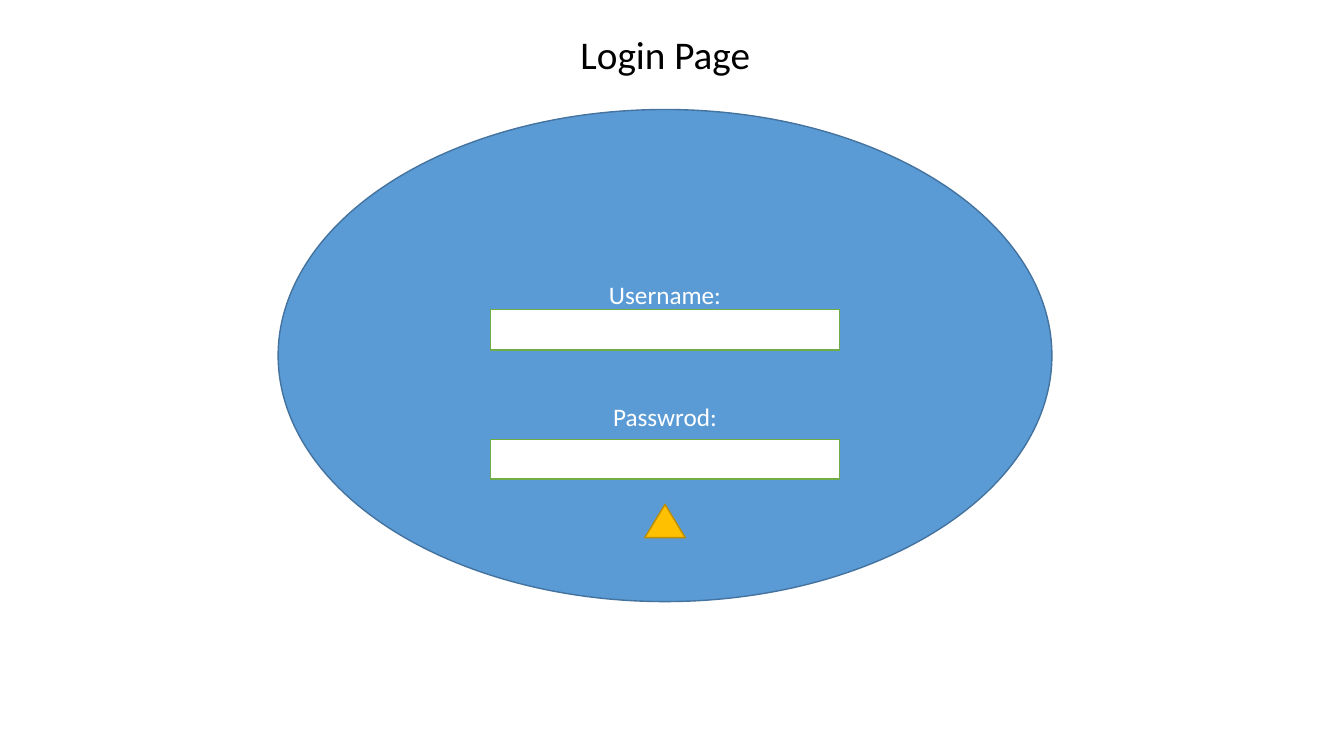
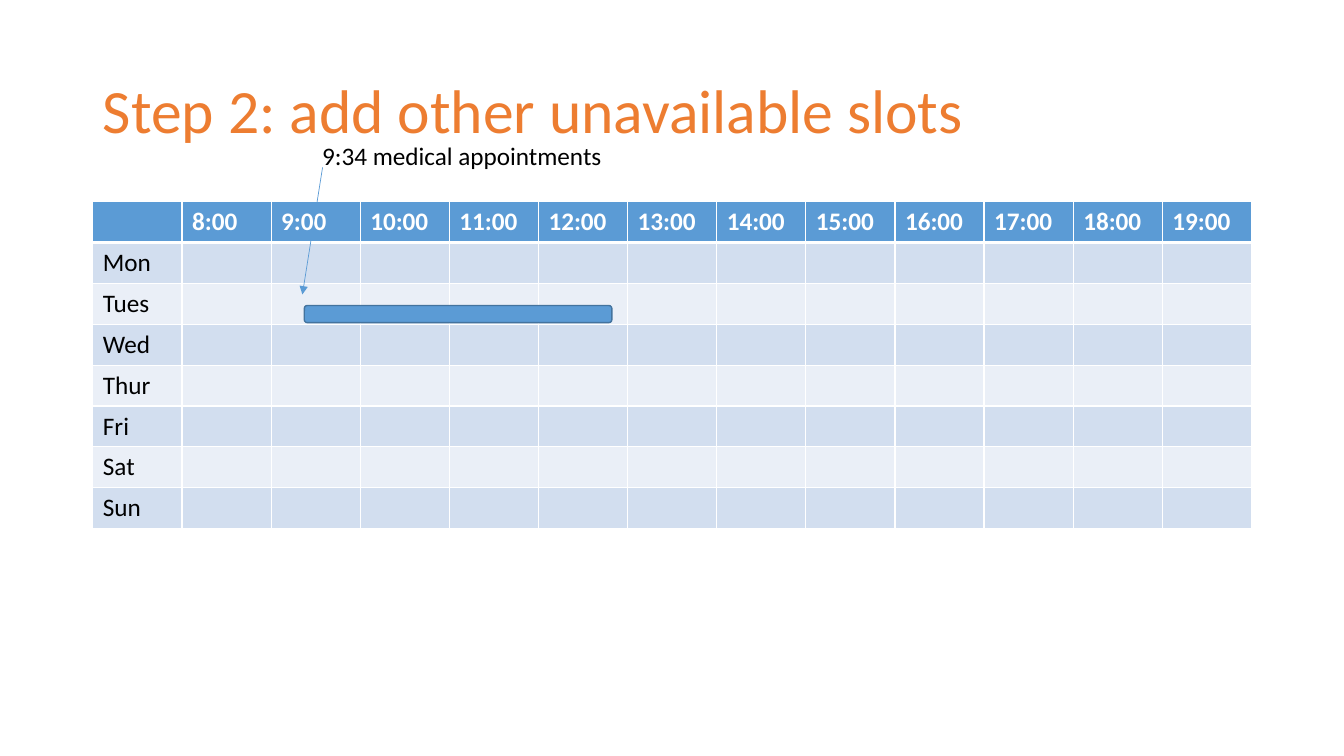
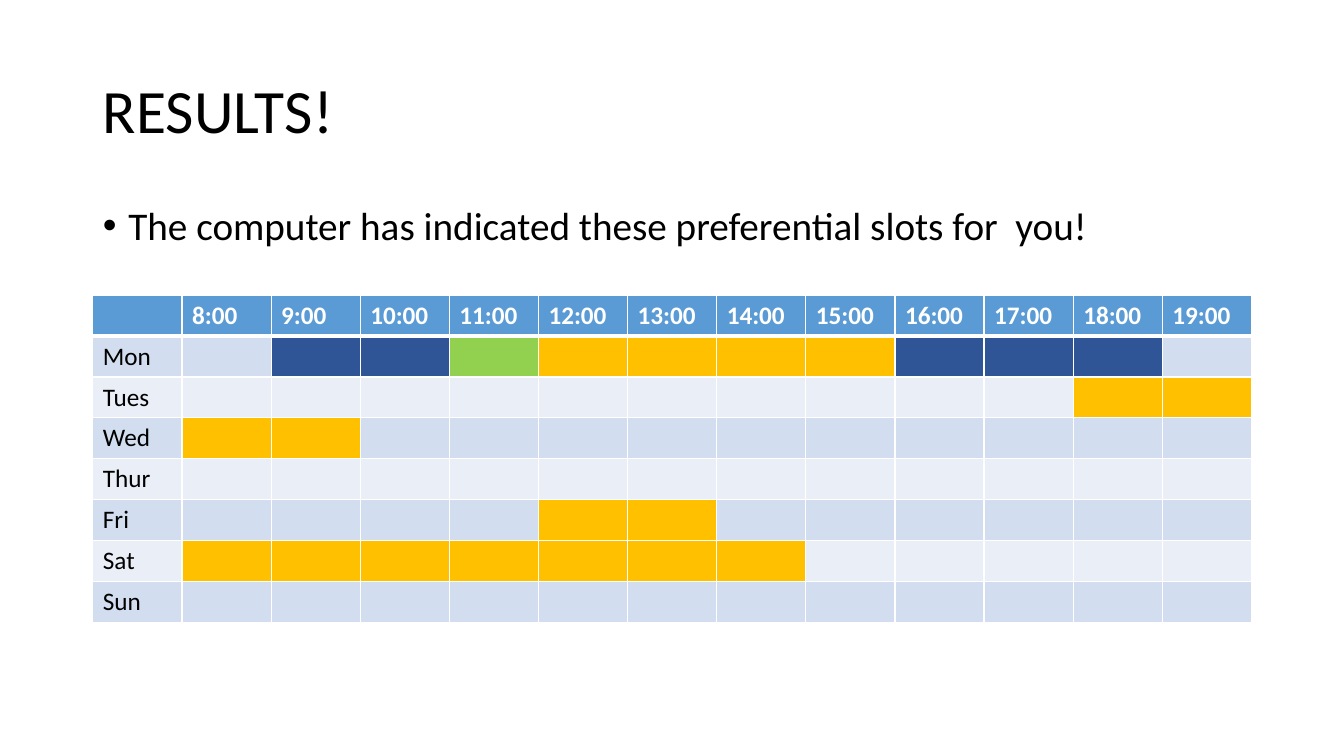
from pptx import Presentation
from pptx.dml.color import RGBColor
from pptx.enum.shapes import MSO_CONNECTOR, MSO_SHAPE
from pptx.enum.text import MSO_ANCHOR, MSO_AUTO_SIZE, PP_ALIGN
from pptx.oxml.ns import qn
from pptx.util import Cm, Pt
from lxml import etree

LEFT, CENTER = PP_ALIGN.LEFT, PP_ALIGN.CENTER
TOP, MIDDLE = MSO_ANCHOR.TOP, MSO_ANCHOR.MIDDLE
NO_FIT = MSO_AUTO_SIZE.NONE
ELLIPSE, RECTANGLE = MSO_SHAPE.OVAL, MSO_SHAPE.RECTANGLE
TRIANGLE, ROUNDED = MSO_SHAPE.ISOSCELES_TRIANGLE, MSO_SHAPE.ROUNDED_RECTANGLE
STRAIGHT = MSO_CONNECTOR.STRAIGHT
CONTENT_LAYOUT, TITLE_LAYOUT = 1, 5

FONT = "Calibri"
BLACK, WHITE, ORANGE = "000000", "FFFFFF", "ED7D31"
BLUE, BLUE_EDGE, NAVY = "5B9BD5", "43739E", "2F5597"
GREEN, GREEN_EDGE = "92D050", "70AD47"
GOLD, GOLD_EDGE = "FFC000", "BD8E00"
BANDS = ("D2DEEF", "EAEFF7")

# Boxes are (left, top, width, height) in centimetres
TITLE_BOX = (2.34, 1.02, 29.21, 3.68)
BODY_BOX = (2.34, 5.08, 29.21, 12.09)

DAYS = ("Mon", "Tues", "Wed", "Thur", "Fri", "Sat", "Sun")
HOURS = range(8, 20)
ROW_HEIGHT = 1.03

# Day: (first hour, last hour, colour)
RESULT_SLOTS = {
    "Mon": [(9, 10, NAVY), (11, 11, GREEN), (12, 15, GOLD), (16, 18, NAVY)],
    "Tues": [(18, 19, GOLD)],
    "Wed": [(8, 9, GOLD)],
    "Fri": [(12, 13, GOLD)],
    "Sat": [(8, 14, GOLD)],
}


def color(value):
    return RGBColor.from_string(value)


def lengths(box):
    return [Cm(value) for value in box]


def set_attributes(target, values):
    for name, value in values.items():
        setattr(target, name, value)


def write(paragraph, text, size, text_color, bold=False, **paragraph_format):
    run = paragraph.add_run()
    run.text = text
    set_attributes(run.font, {"name": FONT, "size": Pt(size), "bold": bold})
    run.font.color.rgb = color(text_color)
    set_attributes(paragraph, paragraph_format)


def place(placeholder, box, **frame_format):
    names = ("left", "top", "width", "height")
    set_attributes(placeholder, dict(zip(names, lengths(box))))
    frame = placeholder.text_frame
    set_attributes(frame, {"auto_size": NO_FIT, **frame_format})
    return frame.paragraphs[0]


def add_title(slide, text, text_color=BLACK):
    paragraph = place(slide.shapes.title, TITLE_BOX, vertical_anchor=MIDDLE)
    write(paragraph, text, 44, text_color, alignment=LEFT, line_spacing=0.9)


def add_figure(slide, kind, box, fill, edge):
    shape = slide.shapes.add_shape(kind, *lengths(box))
    shape.shadow.inherit = False
    shape.fill.solid()
    shape.fill.fore_color.rgb = color(fill)
    shape.line.color.rgb = color(edge)
    shape.line.width = Pt(1)
    return shape


def add_arrow(slide, start, end):
    arrow = slide.shapes.add_connector(STRAIGHT, *lengths(start + end))
    arrow.line.color.rgb = color(BLUE)
    arrow.line.width = Pt(0.5)
    properties = arrow.element.spPr
    line = properties.find(qn("a:ln"))
    etree.SubElement(line, qn("a:tailEnd"), type="triangle")
    etree.SubElement(properties, qn("a:effectLst"))


def style_cell(cell, fill, bottom_width):
    # Borders come before the fill in the cell properties
    properties = cell._tc.get_or_add_tcPr()
    for side, width in (("L", 1), ("R", 1), ("T", 1), ("B", bottom_width)):
        border = etree.SubElement(properties, qn(f"a:ln{side}"), w=str(Pt(width)))
        border_fill = etree.SubElement(border, qn("a:solidFill"))
        etree.SubElement(border_fill, qn("a:srgbClr"), val=WHITE)
    cell.fill.solid()
    cell.fill.fore_color.rgb = color(fill)


def add_timetable(slide, left, top, width, slots):
    labels = [""] + [f"{hour}:00" for hour in HOURS]
    row_count = len(DAYS) + 1
    box = (left, top, width, ROW_HEIGHT * row_count)
    table = slide.shapes.add_table(row_count, len(labels), *lengths(box)).table
    for column in table.columns:
        column.width = Cm(width / len(labels))

    # Header row
    for cell, label in zip(table.rows[0].cells, labels):
        style_cell(cell, BLUE, 3)
        if label:
            write(cell.text_frame.paragraphs[0], label, 18, WHITE, bold=True)

    # Day rows, banded, with marked hours
    for index, day in enumerate(DAYS):
        marks = {hour: mark for first, last, mark in slots.get(day, ())
                 for hour in range(first, last + 1)}
        cells = list(table.rows[index + 1].cells)
        band = BANDS[index % 2]
        write(cells[0].text_frame.paragraphs[0], day, 18, BLACK)
        for cell, hour in zip(cells, (None, *HOURS)):
            style_cell(cell, marks.get(hour, band), 1)


def add_login_form(slide, left, top, width, height):
    panel = add_figure(slide, ELLIPSE, (left, top, width, height), BLUE, BLUE_EDGE)
    frame = panel.text_frame
    frame.vertical_anchor = MIDDLE
    write(frame.paragraphs[0], "Username:", 18, WHITE, alignment=CENTER)
    write(frame.add_paragraph(), "Passwrod:", 18, WHITE,
          alignment=CENTER, space_before=Pt(66))

    # Input fields and submit marker, centred in the panel
    parts = (
        (RECTANGLE, 5.04, 8.8, 1.02, WHITE, GREEN_EDGE),
        (RECTANGLE, 8.32, 8.8, 0.99, WHITE, GREEN_EDGE),
        (TRIANGLE, 9.95, 1.02, 0.84, GOLD, GOLD_EDGE),
    )
    for kind, offset, part_width, part_height, fill, edge in parts:
        box = (left + (width - part_width) / 2, top + offset, part_width, part_height)
        add_figure(slide, kind, box, fill, edge)


def add_appointment(slide, left, top):
    # Bar over the timetable, arrow and caption
    add_figure(slide, ROUNDED, (left + 5.33, top + 2.62, 7.75, 0.43), BLUE, BLUE_EDGE)
    add_arrow(slide, (left + 5.79, top - 0.86), (left + 5.28, top + 2.34))
    caption = slide.shapes.add_textbox(*lengths((left + 5.53, top - 1.68, 7.65, 1.03)))
    caption.text_frame.word_wrap = False
    write(caption.text_frame.paragraphs[0], "9:34 medical appointments", 18, BLACK)


def build_login_slide(slide):
    paragraph = place(slide.shapes.title, (14.35, 0.64, 4.83, 1.45),
                      vertical_anchor=TOP, word_wrap=False)
    write(paragraph, "Login Page", 28, BLACK, alignment=CENTER)
    add_login_form(slide, 7.01, 2.76, 19.5, 12.4)


def build_unavailable_slide(slide):
    left, top, width, _ = BODY_BOX
    add_title(slide, "Step 2: add other unavailable slots", ORANGE)
    add_timetable(slide, left, top, width, {})
    add_appointment(slide, left, top)


def build_results_slide(slide):
    left, top, width, _ = BODY_BOX
    add_title(slide, "RESULTS!")
    paragraph = place(slide.placeholders[1], BODY_BOX, vertical_anchor=TOP)
    write(paragraph, "The computer has indicated these preferential slots for  you!",
          28, BLACK, line_spacing=0.9, space_before=Pt(10))
    properties = paragraph._p.get_or_add_pPr()
    properties.set("marL", str(Cm(0.64)))
    properties.set("indent", str(Cm(-0.64)))
    add_timetable(slide, left, top + 2.36, width, RESULT_SLOTS)


def main():
    presentation = Presentation()
    presentation.slide_width, presentation.slide_height = Cm(33.87), Cm(19.05)
    pages = (
        (TITLE_LAYOUT, build_login_slide),
        (TITLE_LAYOUT, build_unavailable_slide),
        (CONTENT_LAYOUT, build_results_slide),
    )
    for layout, build in pages:
        build(presentation.slides.add_slide(presentation.slide_layouts[layout]))
    presentation.save("out.pptx")


if __name__ == "__main__":
    main()
